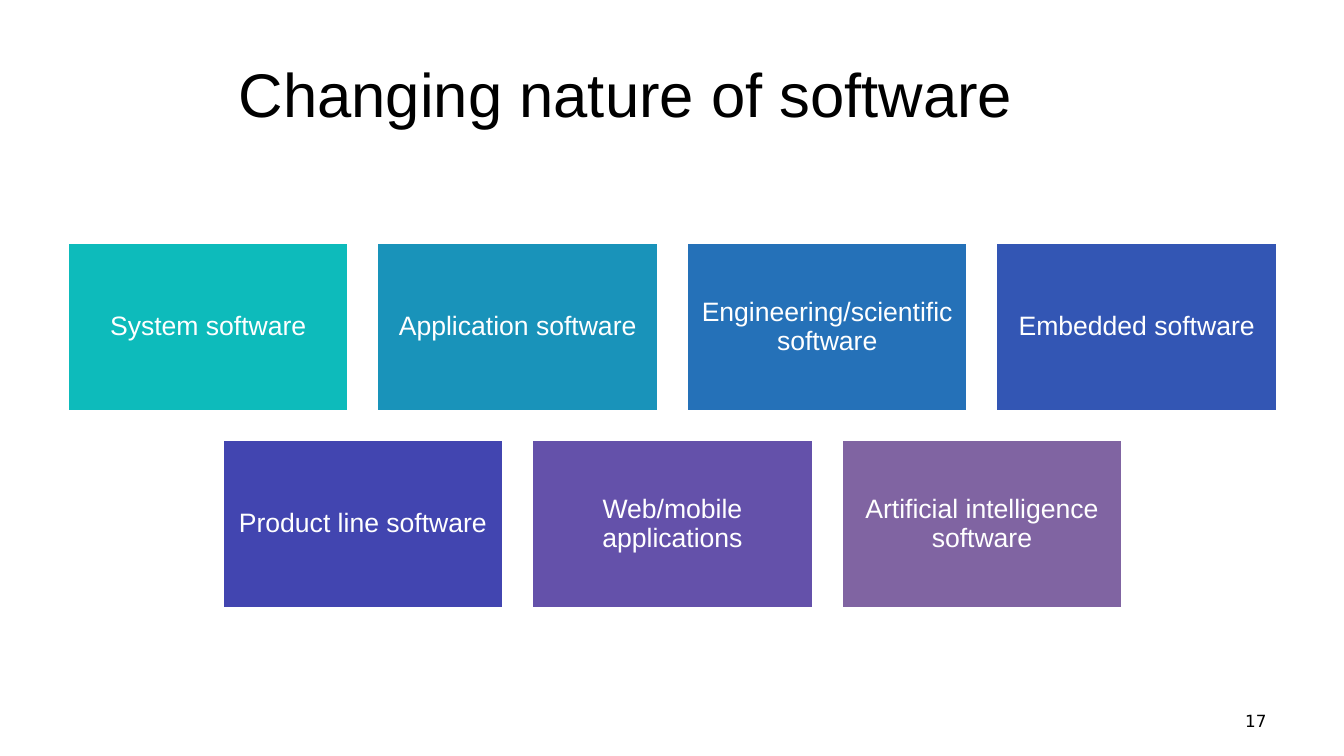
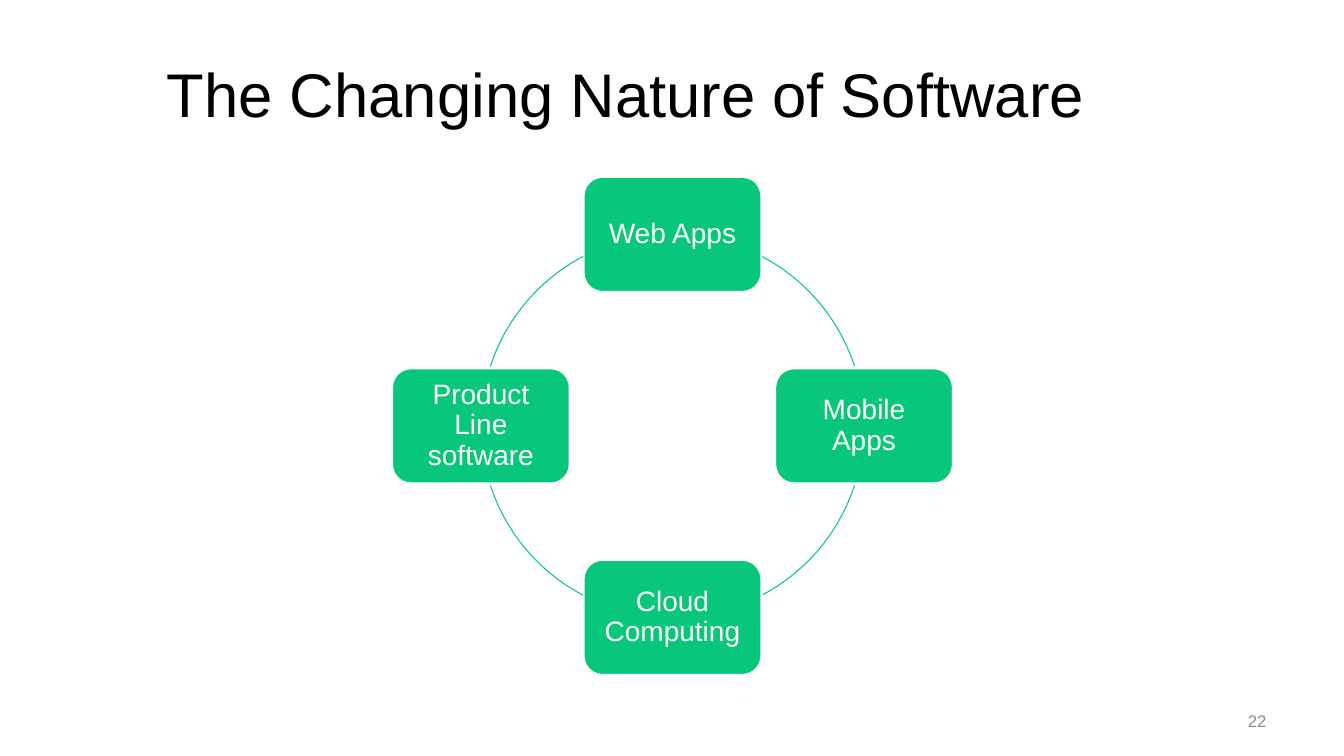
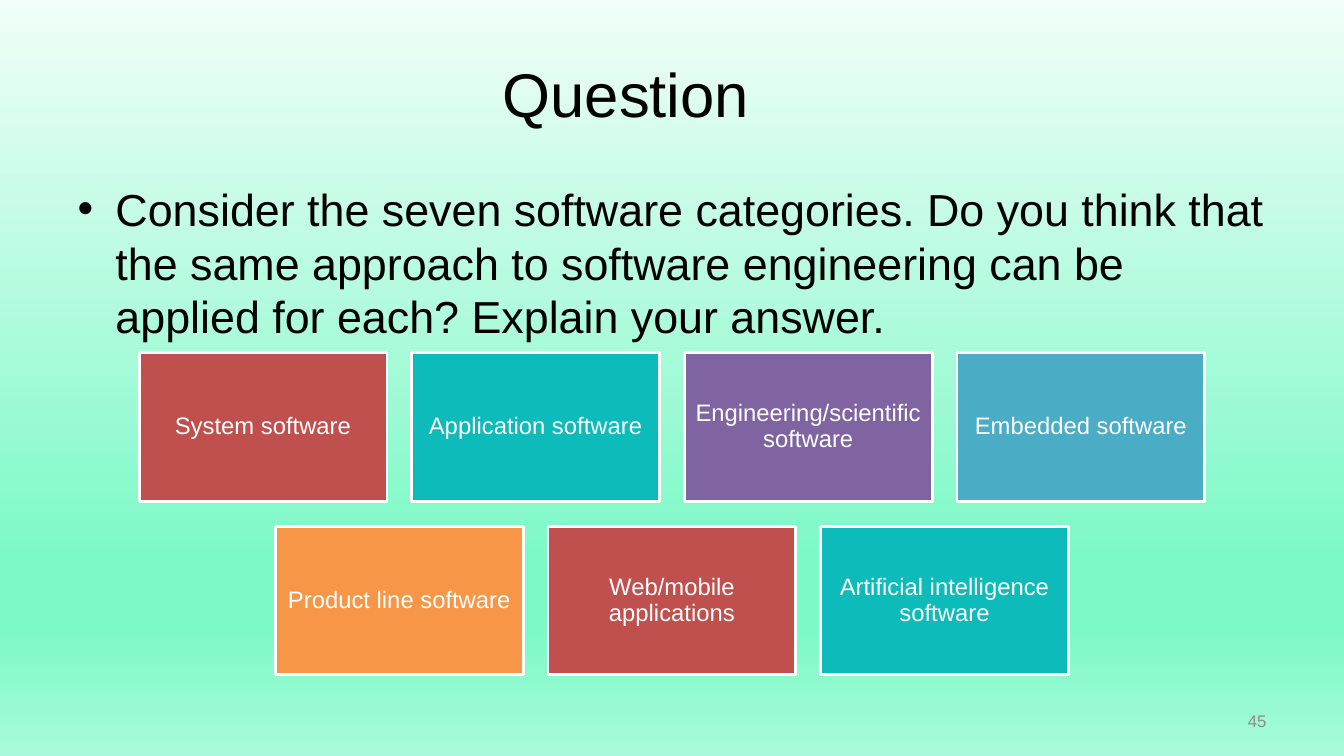
from collections import namedtuple
from dataclasses import dataclass

from lxml.etree import SubElement
from math import cos, radians, sin
from pptx import Presentation
from pptx.dml.color import RGBColor
from pptx.enum.shapes import MSO_SHAPE
from pptx.enum.text import MSO_ANCHOR, MSO_AUTO_SIZE, PP_ALIGN
from pptx.oxml.ns import qn
from pptx.util import Inches, Pt

Box = namedtuple("Box", "left top width height")


@dataclass(frozen=True)
class Theme:
    font: str = "Arial"
    number_font: str = "DejaVu Sans"
    ink: str = "000000"
    white: str = "FFFFFF"
    muted: str = "8C8C8C"
    green: str = "09C77A"
    teal: str = "0DBBBB"
    purple: str = "8064A2"
    red: str = "C0504D"
    sky: str = "4BACC6"
    orange: str = "F79646"
    title_size: int = 44
    body_size: int = 32
    node_size: int = 20
    number_size: int = 12
    border: float = 2
    ring_line: float = 0.75


THEME = Theme()
SPECTRUM = [THEME.teal, "1993BA", "2571B8", "3356B4", "4245B0", "6451AA", THEME.purple]
ACCENTS = [THEME.red, THEME.teal, THEME.purple, THEME.sky, THEME.orange, THEME.red, THEME.teal]
MINT_STOPS = [(0, "F1FEF9"), (74, "7DF9C7"), (83, "7DF9C7"), (100, "A8FBDA")]

TITLE_BOX = Box(0.67, 0.3, 11.08, 1.25)
BODY_BOX = Box(0.67, 1.75, 12, 4.95)
NUMBER_BOX = Box(9.55, 6.95, 3.11, 0.4)

CATEGORY_ROWS = [
    ["System software", "Application software", "Engineering/scientific software", "Embedded software"],
    ["Product line software", "Web/mobile applications", "Artificial intelligence software"],
]
TRENDS = ["Web Apps", "Mobile Apps", "Cloud Computing", "Product Line software"]

TITLE_ONLY, TITLE_AND_CONTENT = 5, 1


def inches(box):
    return [Inches(length) for length in box]


def move(shape, box):
    shape.left, shape.top, shape.width, shape.height = inches(box)


def write_text(shape, text, size, color=THEME.ink, font=THEME.font, align=PP_ALIGN.CENTER,
               anchor=MSO_ANCHOR.MIDDLE, inset=None, line_spacing=None):
    frame = shape.text_frame
    frame.word_wrap = True
    frame.auto_size = MSO_AUTO_SIZE.NONE
    frame.vertical_anchor = anchor
    if inset is not None:
        frame.margin_left = frame.margin_right = Inches(inset)
        frame.margin_top = frame.margin_bottom = Inches(inset)
    para = frame.paragraphs[0]
    para.alignment = align
    para.space_before = Pt(0)
    para.line_spacing = line_spacing
    span = para.add_run()
    span.text = text
    span.font.name = font
    span.font.size = Pt(size)
    span.font.color.rgb = RGBColor.from_string(color)


def add_page(deck, title, number, layout=TITLE_ONLY, number_color=THEME.muted, number_font=THEME.font):
    page = deck.slides.add_slide(deck.slide_layouts[layout])
    move(page.shapes.title, TITLE_BOX)
    write_text(page.shapes.title, title, THEME.title_size)
    number_box = page.shapes.add_textbox(*inches(NUMBER_BOX))
    write_text(number_box, number, THEME.number_size, color=number_color, font=number_font,
               align=PP_ALIGN.RIGHT)
    return page


def add_card(page, preset, box, text, fill, size, inset):
    card = page.shapes.add_shape(preset, *inches(box))
    card.shadow.inherit = False
    card.fill.solid()
    card.fill.fore_color.rgb = RGBColor.from_string(fill)
    card.line.color.rgb = RGBColor.from_string(THEME.white)
    card.line.width = Pt(THEME.border)
    write_text(card, text, size, color=THEME.white, inset=inset, line_spacing=0.9)


def add_category_grid(page, left, top, width, colors, size, inset):
    """Centre each row of tiles in the width; the gap is a tenth of a tile."""
    columns = max(len(row) for row in CATEGORY_ROWS)
    tile_width = width / (columns + 0.1 * (columns - 1))
    tile_height = 0.6 * tile_width
    gap = 0.1 * tile_width
    fills = iter(colors)
    for row_index, row in enumerate(CATEGORY_ROWS):
        row_width = len(row) * (tile_width + gap) - gap
        row_left = left + (width - row_width) / 2
        row_top = top + row_index * (tile_height + gap)
        for column, text in enumerate(row):
            box = Box(row_left + column * (tile_width + gap), row_top, tile_width, tile_height)
            add_card(page, MSO_SHAPE.RECTANGLE, box, text, next(fills), size, inset)


def add_arc(page, box, start, end):
    """Draw a clockwise arc between two angles in degrees, 0 pointing right."""
    arc = page.shapes.add_shape(MSO_SHAPE.ARC, *inches(box))
    arc.shadow.inherit = False
    arc.fill.background()
    arc.line.color.rgb = RGBColor.from_string(THEME.green)
    arc.line.width = Pt(THEME.ring_line)
    for index, angle in enumerate((start, end)):
        arc.adjustments[index] = angle % 360 * 0.6  # 60000 units a degree, scaled by 100000


def add_cycle(page, box, labels):
    """Place labels clockwise from the top, with arcs between neighbours."""
    node_width, node_height = 1.77, 1.15
    radius = (box.height - node_height) / 2
    center_x, center_y = box.left + box.width / 2, box.top + box.height / 2
    ring = Box(center_x - radius, center_y - radius, 2 * radius, 2 * radius)
    step = 360 / len(labels)
    half_arc = 22
    for index, label in enumerate(labels):
        angle = index * step - 90
        node = Box(center_x + radius * cos(radians(angle)) - node_width / 2,
                   center_y + radius * sin(radians(angle)) - node_height / 2,
                   node_width, node_height)
        add_card(page, MSO_SHAPE.ROUNDED_RECTANGLE, node, label, THEME.green, THEME.node_size, 0.08)
        # Nodes are wider than tall, so each arc sits nearer the side nodes.
        middle = 40.1 if angle % 180 == 0 else step - 40.1
        add_arc(page, ring, angle + middle - half_arc, angle + middle + half_arc)


def paint_gradient(page, stops):
    fill = page.background.fill
    fill.gradient()
    fill.gradient_angle = 270
    stop_list = page.element.find(".//" + qn("a:gsLst"))
    for old_stop in list(stop_list):
        stop_list.remove(old_stop)
    for position, color in stops:
        stop = SubElement(stop_list, qn("a:gs"), pos=str(position * 1000))
        SubElement(stop, qn("a:srgbClr"), val=color)


def build_categories(deck):
    page = add_page(deck, "Changing nature of software", "17",
                    number_color=THEME.ink, number_font=THEME.number_font)
    add_category_grid(page, 0.67, 2.41, 12, SPECTRUM, size=19, inset=0.08)


def build_trends(deck):
    page = add_page(deck, "The Changing Nature of Software", "22")
    add_cycle(page, BODY_BOX, TRENDS)


def build_question(deck):
    page = add_page(deck, "Question", "45", layout=TITLE_AND_CONTENT)
    paint_gradient(page, MINT_STOPS)
    body = page.placeholders[1]
    move(body, BODY_BOX)
    write_text(body, "Consider the seven software categories. Do you think that the same approach to "
               "software engineering can be applied for each? Explain your answer.",
               THEME.body_size, align=PP_ALIGN.LEFT, anchor=MSO_ANCHOR.TOP)
    add_category_grid(page, 1.38, 3.5, 10.57, ACCENTS, size=17, inset=0.07)


def main():
    deck = Presentation()
    deck.slide_width, deck.slide_height = Inches(13.33), Inches(7.5)
    build_categories(deck)
    build_trends(deck)
    build_question(deck)
    deck.save("out.pptx")


if __name__ == "__main__":
    main()
